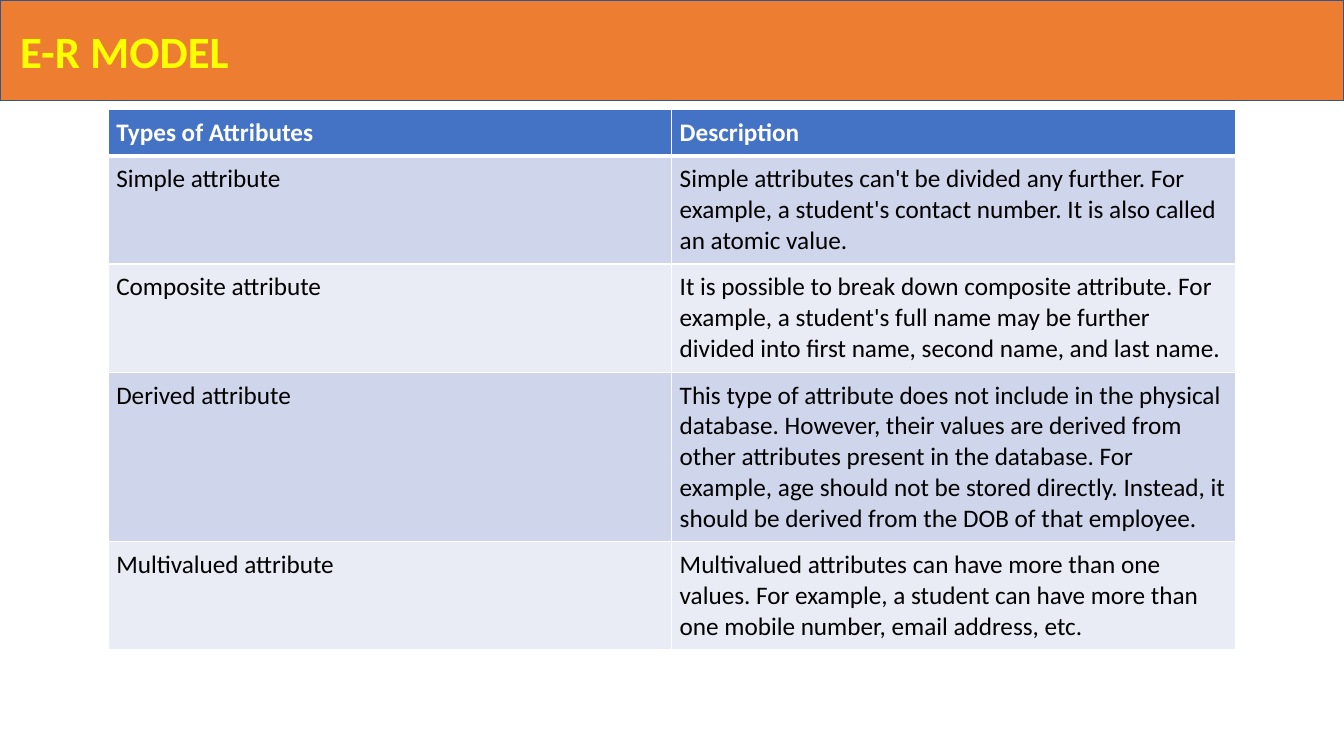
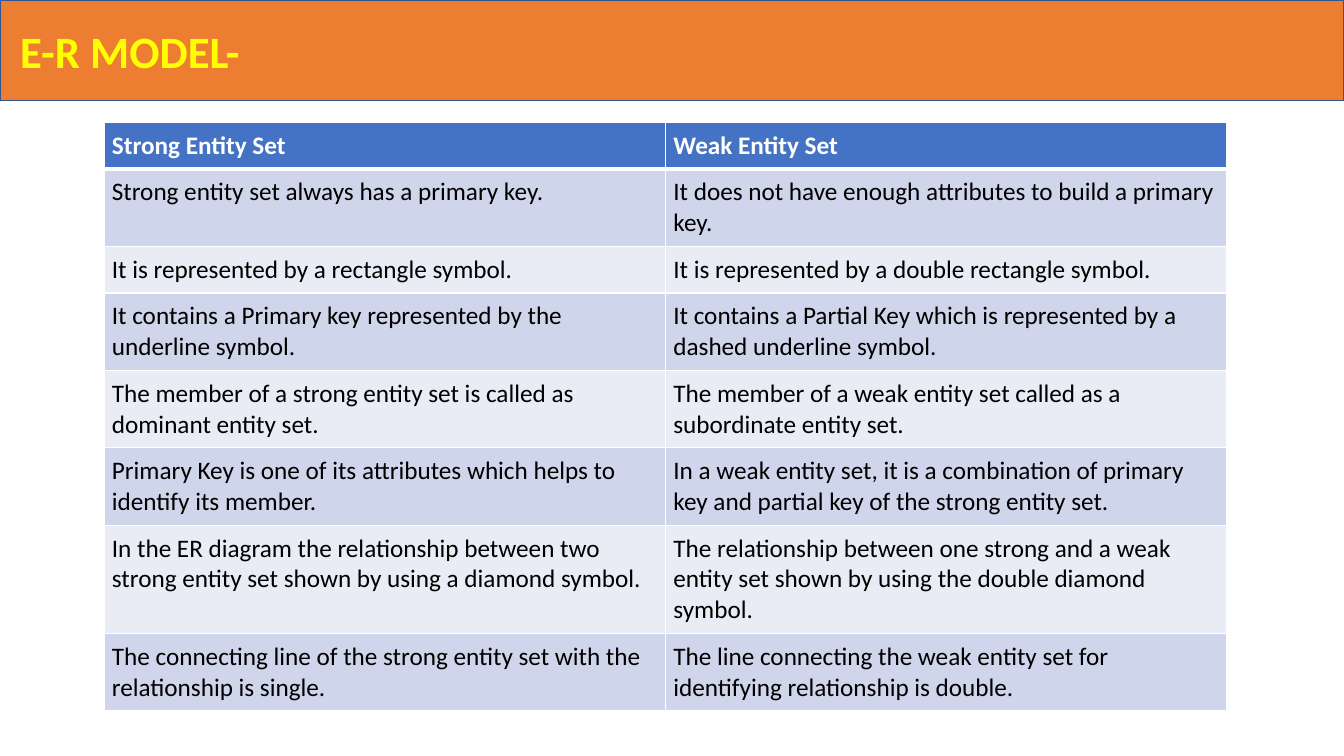
from dataclasses import dataclass

from lxml.etree import SubElement
from pptx import Presentation
from pptx.dml.color import RGBColor
from pptx.enum.shapes import MSO_SHAPE as Preset
from pptx.enum.text import MSO_ANCHOR as Anchor, PP_ALIGN as Align
from pptx.oxml.ns import qn
from pptx.slide import Slide
from pptx.table import _Cell as Cell
from pptx.text.text import _Paragraph as Paragraph
from pptx.util import Cm, Pt

# Shared look
FONT = "Calibri"
WHITE, BLACK, YELLOW = "FFFFFF", "000000", "FFFF00"
BAND_FILL, BAND_LINE = "ED7D31", "325491"
HEADER_FILL = "4472C4"
ROW_FILLS = ("CFD5EA", "E9EBF5")
SLIDE_WIDTH, SLIDE_HEIGHT = 33.87, 19.05
BAND_HEIGHT = 2.54
CELL_MARGIN = 0.2
LINE_HEIGHT = 0.77
THIN, THICK = 1, 3


@dataclass(frozen=True)
class Row:
    left: str
    right: str
    lines: int = 1


@dataclass(frozen=True)
class TableSlide:
    title: str
    left: float
    top: float
    column_width: float
    rows: tuple[Row, ...]


SLIDES = (
    TableSlide("E-R MODEL", 2.73, 2.75, 14.2, (
        Row("Types of Attributes", "Description"),
        Row("Simple attribute",
            "Simple attributes can't be divided any further. For example, a student's "
            "contact number. It is also called an atomic value.", 3),
        Row("Composite attribute",
            "It is possible to break down composite attribute. For example, a student's "
            "full name may be further divided into first name, second name, and last name.", 3),
        Row("Derived attribute",
            "This type of attribute does not include in the physical database. However, "
            "their values are derived from other attributes present in the database. For "
            "example, age should not be stored directly. Instead, it should be derived "
            "from the DOB of that employee.", 5),
        Row("Multivalued attribute",
            "Multivalued attributes can have more than one values. For example, a student "
            "can have more than one mobile number, email address, etc.", 3),
    )),
    TableSlide("E-R MODEL-", 2.62, 3.08, 14.15, (
        Row("Strong Entity Set", "Weak Entity Set"),
        Row("Strong entity set always has a primary key.",
            "It does not have enough attributes to build a primary key.", 2),
        Row("It is represented by a rectangle symbol.",
            "It is represented by a double rectangle symbol."),
        Row("It contains a Primary key represented by the underline symbol.",
            "It contains a Partial Key which is represented by a dashed underline symbol.", 2),
        Row("The member of a strong entity set is called as dominant entity set.",
            "The member of a weak entity set called as a subordinate entity set.", 2),
        Row("Primary Key is one of its attributes which helps to identify its member.",
            "In a weak entity set, it is a combination of primary key and partial key of "
            "the strong entity set.", 2),
        Row("In the ER diagram the relationship between two strong entity set shown by "
            "using a diamond symbol.",
            "The relationship between one strong and a weak entity set shown by using the "
            "double diamond symbol.", 3),
        Row("The connecting line of the strong entity set with the relationship is single.",
            "The line connecting the weak entity set for identifying relationship is double.", 2),
    )),
)


def rgb(color: str) -> RGBColor:
    return RGBColor.from_string(color)


def style_text(paragraph: Paragraph, size: int, color: str, bold: bool) -> None:
    paragraph.alignment = Align.LEFT
    font = paragraph.font
    font.name, font.size, font.bold = FONT, Pt(size), bold
    font.color.rgb = rgb(color)


def set_borders(cell: Cell, top: int, bottom: int) -> None:
    """Draw white cell borders; widths are in points."""
    properties = cell._tc.get_or_add_tcPr()
    widths = {"a:lnL": THIN, "a:lnR": THIN, "a:lnT": top, "a:lnB": bottom}
    for position, (tag, width) in enumerate(widths.items()):
        line = SubElement(properties, qn(tag), w=str(Pt(width)))
        fill = SubElement(line, qn("a:solidFill"))
        SubElement(fill, qn("a:srgbClr"), val=WHITE)
        properties.insert(position, line)


def add_title_band(slide: Slide, title: str) -> None:
    band = slide.shapes.add_shape(
        Preset.RECTANGLE, 0, 0, Cm(SLIDE_WIDTH), Cm(BAND_HEIGHT))
    band.shadow.inherit = False
    band.fill.solid()
    band.fill.fore_color.rgb = rgb(BAND_FILL)
    band.line.color.rgb = rgb(BAND_LINE)
    band.line.width = Pt(1)
    frame = band.text_frame
    frame.margin_left = Cm(0.51)
    frame.vertical_anchor = Anchor.MIDDLE
    frame.text = title
    style_text(frame.paragraphs[0], 32, YELLOW, True)


def fill_cell(cell: Cell, text: str, row_index: int) -> None:
    is_header = row_index == 0
    cell.text = text
    cell.margin_left = cell.margin_right = Cm(CELL_MARGIN)
    cell.margin_top = cell.margin_bottom = Cm(CELL_MARGIN)
    cell.fill.solid()
    cell.fill.fore_color.rgb = rgb(
        HEADER_FILL if is_header else ROW_FILLS[(row_index - 1) % 2])
    set_borders(cell, top=THICK if row_index == 1 else THIN,
                bottom=THICK if is_header else THIN)
    style_text(cell.text_frame.paragraphs[0], 18,
               WHITE if is_header else BLACK, is_header)


def add_comparison_table(slide: Slide, content: TableSlide) -> None:
    heights = [row.lines * LINE_HEIGHT + 2 * CELL_MARGIN for row in content.rows]
    table = slide.shapes.add_table(
        len(content.rows), 2, Cm(content.left), Cm(content.top),
        Cm(2 * content.column_width), Cm(sum(heights))).table
    for column in table.columns:
        column.width = Cm(content.column_width)
    for row_index, (row, height) in enumerate(zip(content.rows, heights)):
        table.rows[row_index].height = Cm(height)
        for column_index, text in enumerate((row.left, row.right)):
            fill_cell(table.cell(row_index, column_index), text, row_index)


def main() -> None:
    presentation = Presentation()
    presentation.slide_width = Cm(SLIDE_WIDTH)
    presentation.slide_height = Cm(SLIDE_HEIGHT)
    blank_layout = presentation.slide_layouts[6]
    for content in SLIDES:
        slide = presentation.slides.add_slide(blank_layout)
        add_comparison_table(slide, content)
        add_title_band(slide, content.title)
    presentation.save("out.pptx")


if __name__ == "__main__":
    main()
